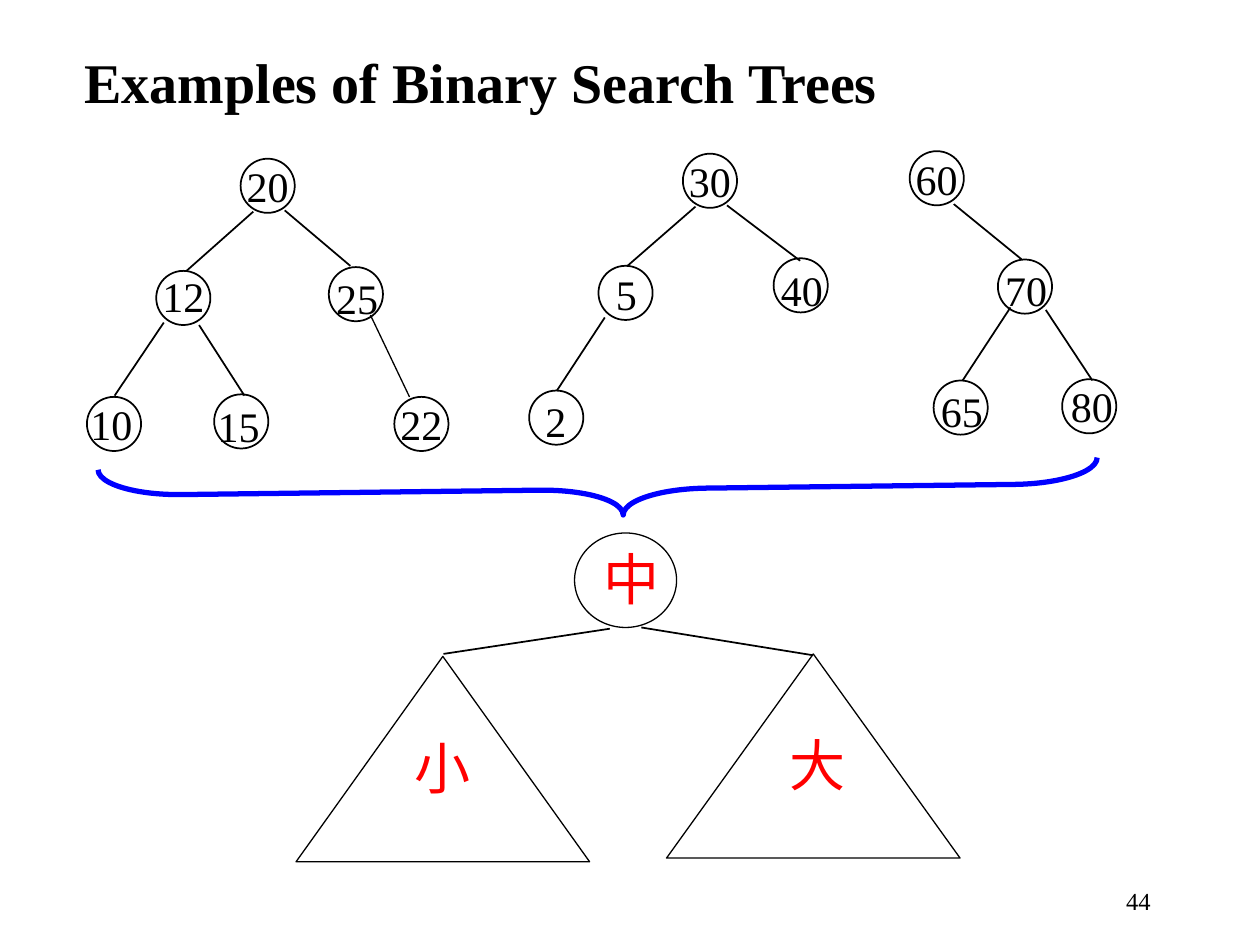
from dataclasses import dataclass

from lxml import etree
from pptx import Presentation
from pptx import util as u
from pptx.dml.color import RGBColor
from pptx.enum import shapes as kinds, text as t
from pptx.oxml.ns import qn


@dataclass(frozen=True)
class Theme:
    font: str = "Times New Roman"
    black: str = "000000"
    red: str = "FF0000"
    blue: str = "0000FF"
    large: int = 32
    node: int = 24
    small: int = 14
    thin: float = 0.75
    line: float = 1
    thick: float = 3


THEME = Theme()
SHAPE = kinds.MSO_SHAPE
NODE = 0.43

ROOTS = [("20", 1.91, 1.26), ("30", 5.42, 1.22), ("60", 7.22, 1.2)]

# label, circle left and top, label left and top
NODES = [
    ("12", 1.24, 2.15, 1.19, 2.1),
    ("25", 2.61, 2.12, 2.57, 2.11),
    ("10", 0.69, 3.15, 0.62, 3.11),
    ("15", 1.7, 3.13, 1.63, 3.13),
    ("22", 3.13, 3.15, 3.08, 3.11),
    ("5", 4.75, 2.11, 4.79, 2.08),
    ("40", 6.14, 2.05, 6.1, 2.05),
    ("2", 4.2, 3.1, 4.23, 3.09),
    ("70", 7.92, 2.06, 7.88, 2.05),
    ("65", 7.41, 3.02, 7.37, 3.01),
    ("80", 8.43, 3.01, 8.4, 2.97),
]

EDGES = [
    (2.01, 1.68, 1.48, 2.15),
    (2.26, 1.67, 2.78, 2.11),
    (1.3, 2.56, 0.91, 3.14),
    (1.58, 2.58, 1.94, 3.14),
    (5.52, 1.64, 4.98, 2.11),
    (5.77, 1.63, 6.35, 2.07),
    (4.8, 2.52, 4.42, 3.1),
    (7.57, 1.62, 8.11, 2.06),
    (8.02, 2.44, 7.64, 3.02),
    (8.3, 2.46, 8.67, 3.02),
]


def inches(*sizes):
    return [u.Inches(size) for size in sizes]


def write(shape, words, size=THEME.node, color=THEME.black, bold=False,
          align=t.PP_ALIGN.LEFT, anchor=t.MSO_ANCHOR.TOP, wrap=False):
    frame = shape.text_frame
    frame.word_wrap = wrap
    frame.vertical_anchor = anchor
    frame.text = words
    para = frame.paragraphs[0]
    para.alignment = align
    font = para.runs[0].font
    font.name = THEME.font
    font.size = u.Pt(size)
    font.bold = bold
    font.color.rgb = RGBColor.from_string(color)


def add_text(parts, words, box, **style):
    write(parts.add_textbox(*inches(*box)), words, **style)


def add_shape(parts, kind, box, color=THEME.black, width=THEME.line):
    shape = parts.add_shape(kind, *inches(*box))
    shape.shadow.inherit = False
    shape.fill.background()
    shape.line.color.rgb = RGBColor.from_string(color)
    shape.line.width = u.Pt(width)
    return shape


def add_edge(parts, ends, width=THEME.line):
    edge = parts.add_connector(kinds.MSO_CONNECTOR.STRAIGHT, *inches(*ends))
    edge.line.color.rgb = RGBColor.from_string(THEME.black)
    edge.line.width = u.Pt(width)
    etree.SubElement(edge._element.spPr, qn("a:effectLst"))


def add_trees(parts):
    for label, left, top in ROOTS:
        root = add_shape(parts, SHAPE.OVAL, (left, top, NODE, NODE))
        write(root, label, align=t.PP_ALIGN.CENTER, anchor=t.MSO_ANCHOR.MIDDLE)
    for label, left, top, text_left, text_top in NODES:
        add_shape(parts, SHAPE.OVAL, (left, top, NODE, NODE))
        width = 0.2 + 0.17 * len(label)
        add_text(parts, label, (text_left, text_top, width, 0.5))
    for ends in EDGES:
        add_edge(parts, ends)
    add_edge(parts, (2.94, 2.5, 3.25, 3.15), THEME.thin)


def add_brace(parts):
    brace = add_shape(parts, SHAPE.RIGHT_BRACE, (4.54, -0.08, 0.41, 7.93),
                      THEME.blue, THEME.thick)
    brace.rotation = 89.3
    brace.adjustments[0] = 1.61
    brace.adjustments[1] = 0.475


def add_rule(parts):
    add_edge(parts, (4.84, 4.99, 3.52, 5.19))
    add_edge(parts, (5.09, 4.98, 6.45, 5.2))
    for kind, box, word, left, top in [
        (SHAPE.OVAL, (4.56, 4.23, 0.81, 0.75), "中", 4.69, 4.27),
        (SHAPE.ISOSCELES_TRIANGLE, (2.35, 5.21, 2.33, 1.63), "小", 3.19, 5.77),
        (SHAPE.ISOSCELES_TRIANGLE, (5.29, 5.19, 2.33, 1.62), "大", 6.17, 5.75),
    ]:
        add_shape(parts, kind, box, width=THEME.thin)
        add_text(parts, word, (left, top, 0.64, 0.64),
                 size=THEME.large, color=THEME.red)


def add_title(parts, words):
    title = parts.title
    title.left, title.top, title.width, title.height = inches(0.57, 0.33, 6.55, 0.64)
    write(title, words, size=THEME.large, bold=True)


def main():
    deck = Presentation()
    deck.slide_width, deck.slide_height = inches(10, 7.5)
    slide = deck.slides.add_slide(deck.slide_layouts[5])
    parts = slide.shapes
    add_title(parts, "Examples of Binary Search Trees")
    add_trees(parts)
    add_rule(parts.add_group_shape().shapes)
    add_brace(parts)
    add_text(parts, "44", (7.15, 6.98, 2.08, 0.5), size=THEME.small,
             align=t.PP_ALIGN.RIGHT, wrap=True)
    deck.save("out.pptx")


if __name__ == "__main__":
    main()
